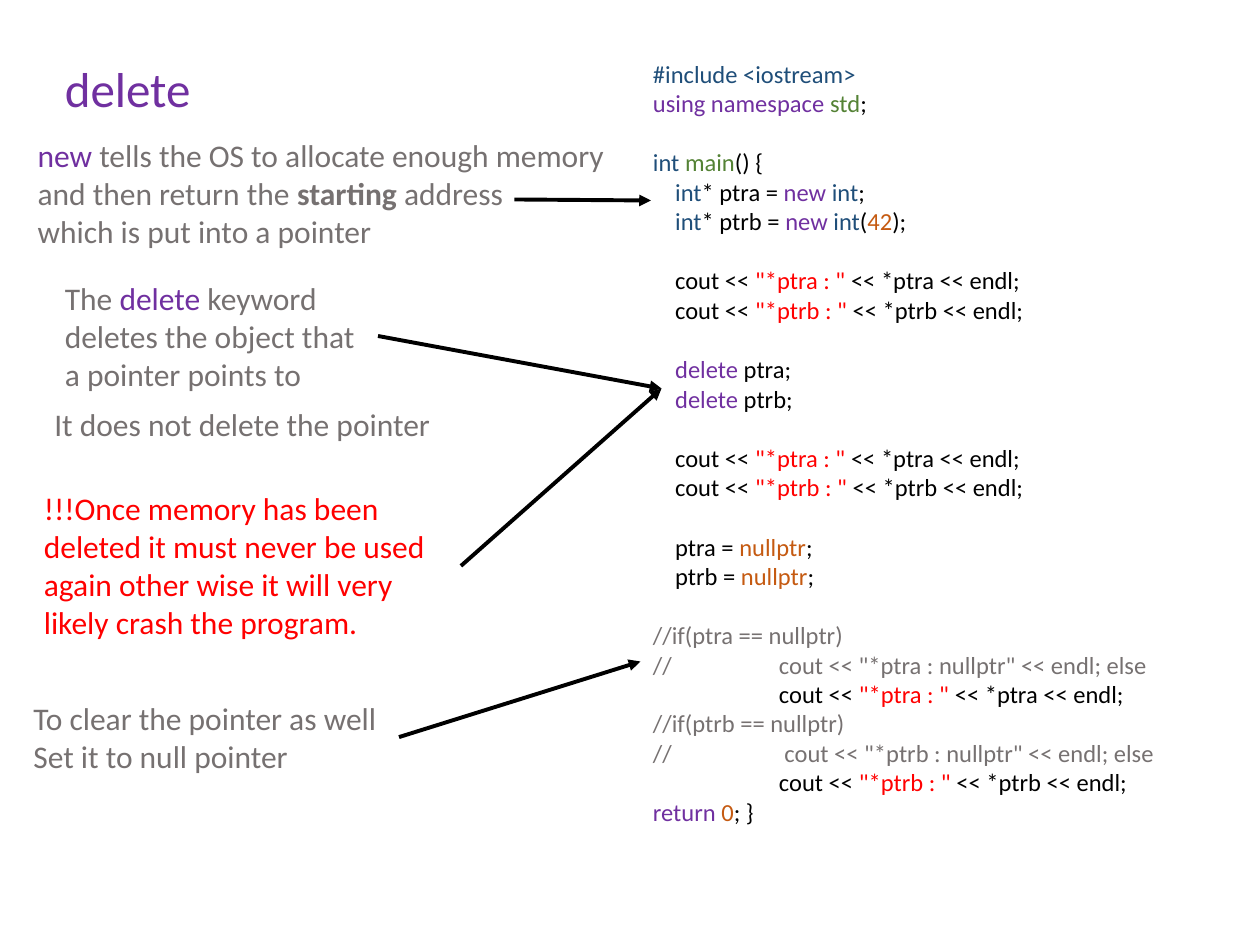
from dataclasses import dataclass

from lxml.etree import SubElement
from pptx import Presentation
from pptx.dml.color import RGBColor
from pptx.enum.shapes import MSO_CONNECTOR as Connector
from pptx.enum.text import MSO_AUTO_SIZE as AutoSize
from pptx.oxml.ns import qn
from pptx.slide import Slide
from pptx.util import Inches, Pt

BLACK, GREY, RED = "000000", "767171", "FF0000"
NAVY, VIOLET, GREEN, ORANGE = "1F4E79", "7030A0", "548235", "C55A11"


def color(value):
    return RGBColor.from_string(value)


@dataclass
class Lesson:
    page: Slide
    font: str = "Calibri"
    cell: float = 1 / 12
    line_width: float = 2.25
    line_height: float = 1.22

    def grid(self, *cells):
        return [Inches(count * self.cell) for count in cells]

    def text(self, place, lines, size=18, wrap=True, tab=None):
        box = self.page.shapes.add_textbox(*self.grid(*place))
        frame = box.text_frame
        frame.word_wrap = wrap
        frame.auto_size = AutoSize.SHAPE_TO_FIT_TEXT
        para, gap = None, False
        for line in lines:
            if not line:
                gap = True
                continue
            para = frame.add_paragraph() if para else frame.paragraphs[0]
            if gap:
                para.space_before = Pt(size * self.line_height)
                gap = False
            if tab:
                self.tab_stop(para, tab)
            self.fill(para, line, size)

    def tab_stop(self, para, column):
        stops = SubElement(para._p.get_or_add_pPr(), qn("a:tabLst"))
        SubElement(stops, qn("a:tab"), pos=str(self.grid(column)[0]), algn="l")

    def fill(self, para, spans, size):
        para.font.name, para.font.size = self.font, Pt(size)
        shared = len({tint for _, tint, *_ in spans}) == 1
        if shared:
            para.font.color.rgb = color(spans[0][1])
        for words, tint, *bold in spans:
            span = para.add_run()
            span.text = words
            if not shared:
                span.font.color.rgb = color(tint)
            if bold:
                span.font.bold = True

    def arrow(self, start, end):
        line = self.page.shapes.add_connector(
            Connector.STRAIGHT, *self.grid(*start, *end))
        line.line.color.rgb = color(BLACK)
        line.line.width = Pt(self.line_width)
        SubElement(line.line._get_or_add_ln(), qn("a:tailEnd"), type="triangle")
        SubElement(line._element.spPr, qn("a:effectLst"))


def print_line(name, indent="    "):
    return [(f"{indent}cout << ", BLACK), (f'"*{name} : " ', RED),
            (f"<< *{name} << endl;", BLACK)]


def new_line(name, *value):
    return [("    ", BLACK), ("int", NAVY), (f"* {name} = ", BLACK),
            ("new ", VIOLET), ("int", NAVY), *value]


def delete_line(name):
    return [("    ", BLACK), ("delete ", VIOLET), (f"{name};", BLACK)]


def clear_line(name):
    return [(f"    {name} = ", BLACK), ("nullptr", ORANGE), (";", BLACK)]


def check_lines(name, lead):
    return [[(f"//if({name} == nullptr)", GREY)],
            [(f'//{lead}cout << "*{name} : nullptr" << endl; else', GREY)],
            print_line(name, "\t")]


def main():
    deck = Presentation()
    deck.slide_width, deck.slide_height = Inches(10), Inches(7.5)
    lesson = Lesson(deck.slides.add_slide(deck.slide_layouts[6]))

    names = ("ptra", "ptrb")
    prints = [print_line(name) for name in names]
    code = [
        [("#include <iostream>", NAVY)],
        [("using namespace ", VIOLET), ("std", GREEN), (";", BLACK)],
        [],
        [("int ", NAVY), ("main", GREEN), ("() {", BLACK)],
        new_line("ptra", (";", BLACK)),
        new_line("ptrb", ("(", BLACK), ("42", ORANGE), (");", BLACK)),
        [],
        *prints,
        [],
        *[delete_line(name) for name in names],
        [],
        *prints,
        [],
        *[clear_line(name) for name in names],
        [],
        *check_lines("ptra", "\t"),
        *check_lines("ptrb", "\t "),
        [("return ", VIOLET), ("0", ORANGE), ("; }", BLACK)],
    ]
    lesson.text((61, 5, 57, 77.5), code, size=14, tab=12)

    lesson.text((5, 5, 14.5, 6.9), [[("delete", VIOLET)]], size=28, wrap=False)
    lesson.text((2.4, 12.4, 56.5, 12.1), [
        [("new ", VIOLET), ("tells the OS to allocate enough memory", GREY)],
        [("and then return the ", GREY), ("starting ", GREY, True),
         ("address", GREY)],
        [("which is put into a pointer", GREY)],
    ])
    lesson.text((5, 26, 31, 12.1), [
        [("The ", GREY), ("delete", VIOLET),
         (" keyword deletes the object that a pointer points to", GREY)],
    ])
    lesson.text((4, 38, 38.7, 4.8),
                [[("It does not delete the pointer", GREY)]], wrap=False)
    lesson.text((3, 46, 41, 15.7), [
        [("!!!Once memory has been deleted it must never be used again "
          "other wise it will very likely crash the program.", RED)],
    ])
    lesson.text((2, 66, 36, 8.5), [
        [("To clear the pointer as well", GREY)],
        [("Set it to null pointer", GREY)],
    ])

    delete_code = (63, 37)
    for start, end in [((49, 19), (62, 19.1)), ((36, 32), delete_code),
                       ((43.9, 53.9), delete_code), ((38, 70.2), (61, 63))]:
        lesson.arrow(start, end)

    deck.save("out.pptx")


if __name__ == "__main__":
    main()
